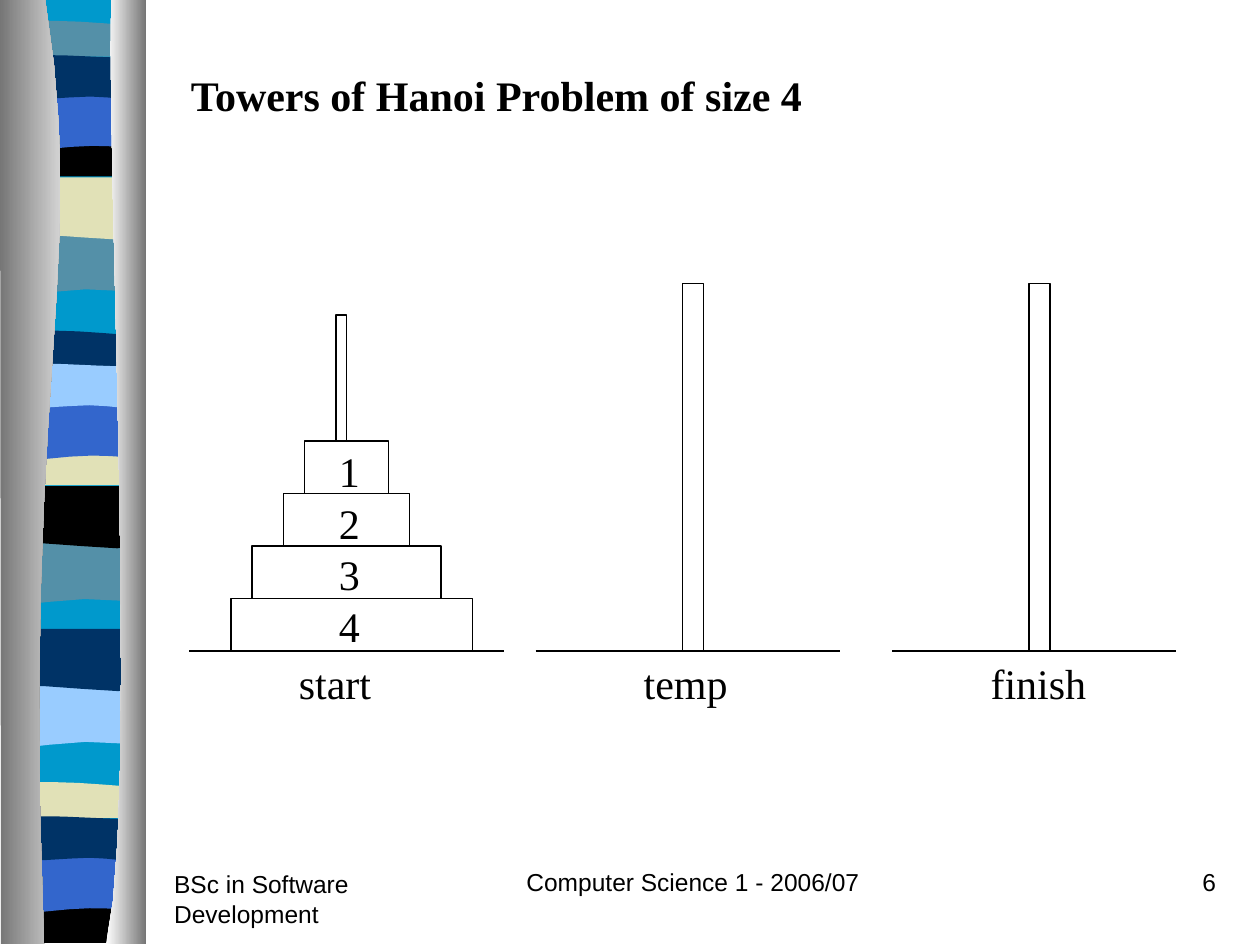
from lxml import etree
from pptx import Presentation, util as u
from pptx.dml.color import RGBColor
from pptx.enum import shapes, text
from pptx.oxml import ns

PX = 7620
BLACK, WHITE, GRAY = "000000", "FFFFFF", "767676"
TEAL, SAND, NAVY, BLUE, SKY = "5490A8", "E1E1B7", "003366", "3366CC", "99CCFF"
SERIF, SANS = "Times New Roman", "Arial"
LEFT, MID, RIGHT = text.PP_ALIGN.LEFT, text.PP_ALIGN.CENTER, text.PP_ALIGN.RIGHT

WAVES = {
    "slab": [(129, 0), (129, 899), (0, 899), (0, 0)],
    "swell": [(129, 0), (129, 56), (40, 47, 22, 66, 0, 56), (0, 0)],
    "dip": [(129, 0), (129, 56), (108, 66, 40, 49, 0, 56), (0, 0)],
    "thin": [(129, 6), (129, 35), (0, 35), (0, 6),
             (7, 0, 28, 1, 49, 1), (71, 1, 113, 5, 129, 6)],
    "bowl": [(129, 0), (129, 38), (0, 38), (0, 0), (79, 6, 102, 0, 129, 0)],
    "arch": [(129, 0), (129, 56), (109, 50, 101, 50, 79, 50),
             (58, 50, 19, 56, 0, 56), (0, 0)],
    "flag": [(129, 6), (129, 43), (121, 49, 101, 43, 79, 43),
             (58, 43, 13, 49, 0, 43), (0, 6), (18, 0, 88, 6, 109, 6), (129, 6)],
    "foot": [(129, 0), (129, 44), (0, 44), (0, 0), (79, 6, 102, 0, 129, 0)],
}
BANDS = [
    ("slab", 7, -1, "0099CC"), ("swell", 7, 222, TEAL), ("dip", 7, 169, SAND),
    ("thin", 7, 19, TEAL), ("bowl", 7, 130, BLACK), ("arch", 7, 89, BLUE),
    ("flag", 7, 49, NAVY), ("swell", 6, 517, TEAL), ("dip", 6, 463, BLACK),
    ("thin", 6, 314, NAVY), ("bowl", 6, 424, SAND), ("arch", 6, 384, BLUE),
    ("flag", 6, 343, SKY), ("swell", 7, 653, SKY), ("dip", 7, 599, NAVY),
    ("thin", 6, 744, SAND), ("foot", 6, 854, BLACK), ("arch", 6, 815, BLUE),
    ("flag", 6, 774, NAVY),
]
PIPES = [
    ([(43, -1), (85, 259, 20, 355, 42, 899), (1, 899), (0, -1)], GRAY, "D3D3D3"),
    ([(106, -1), (101, 150, 133, 775, 101, 899), (139, 899), (139, 0)], WHITE, GRAY),
]


def rgb(code):
    return RGBColor.from_string(code)


def trace(path, steps):
    dots = []
    for seg in path:
        if len(seg) == 2:
            dots.append(seg)
            continue
        ends = [dots[-1], seg[:2], seg[2:4], seg[4:]]
        for n in range(1, steps + 1):
            t = n / steps
            parts = ((1 - t) ** 3, 3 * t * (1 - t) ** 2, 3 * t * t * (1 - t), t ** 3)
            dots.append(tuple(sum(w * p[i] for w, p in zip(parts, ends)) for i in (0, 1)))
    return dots


def add_free(slide, path, x=0, y=0, steps=4):
    dots = [((a + x) * PX, (b + y) * PX) for a, b in trace(path, steps)]
    pen = slide.shapes.build_freeform(*dots[0], scale=1.0)
    pen.add_line_segments(dots[1:], close=True)
    shape = pen.convert_to_shape()
    shape.shadow.inherit = False
    shape.line.fill.background()
    return shape


def add_band(slide, kind, x, y, color):
    shape = add_free(slide, WAVES[kind], x, y)
    shape.fill.solid()
    shape.fill.fore_color.rgb = rgb(color)


def add_pipe(slide, path, start, end):
    fill = add_free(slide, path, steps=12).fill
    fill.gradient()
    fill.gradient_angle = 0
    for stop, color in zip(fill.gradient_stops, (start, end)):
        stop.color.rgb = rgb(color)


def add_box(slide, x, y, w, h):
    box = slide.shapes.add_shape(
        shapes.MSO_SHAPE.RECTANGLE, x * PX, y * PX, w * PX, h * PX)
    box.shadow.inherit = False
    box.fill.solid()
    box.fill.fore_color.rgb = rgb(WHITE)
    box.line.color.rgb = rgb(BLACK)
    box.line.width = u.Pt(0.75)


def add_base(slide, left, right, y):
    line = slide.shapes.add_connector(
        shapes.MSO_CONNECTOR.STRAIGHT, left * PX, y * PX, right * PX, y * PX)
    line.line.color.rgb = rgb(BLACK)
    line.line.width = u.Pt(0.75)
    etree.SubElement(line._element.spPr, ns.qn("a:effectLst"))


def add_text(slide, words, x, y, w, h, size=24, font=SERIF, align=LEFT,
             bold=False, wrap=True, mid=False):
    frame = slide.shapes.add_textbox(x * PX, y * PX, w * PX, h * PX).text_frame
    frame.word_wrap = wrap
    if mid:
        frame.vertical_anchor = text.MSO_ANCHOR.MIDDLE
    frame.text = words
    for para in frame.paragraphs:
        para.alignment = align
        face = para.runs[0].font
        face.size, face.name, face.bold = u.Pt(size), font, bold
        face.color.rgb = rgb(BLACK)
    return frame


def main():
    deck = Presentation()
    deck.slide_width, deck.slide_height = 1200 * PX, 900 * PX
    slide = deck.slides.add_slide(deck.slide_layouts[6])
    for band in BANDS:
        add_band(slide, *band)
    for pipe in PIPES:
        add_pipe(slide, *pipe)

    add_text(slide, "BSc in Software Development", 154, 822, 250, 60, 14, SANS)
    add_text(slide, "Computer Science 1 - 2006/07", 470, 820, 380, 60, 14, SANS, MID)
    add_text(slide, "6", 920, 820, 250, 60, 14, SANS, RIGHT)
    add_text(slide, "Towers of Hanoi Problem of size 4", 170, 60, 940, 718, bold=True)

    floor = 620
    for left, right in ((180, 480), (510, 800), (850, 1120)):
        add_base(slide, left, right, floor)
    add_box(slide, 320, 300, 10, 120)
    for row, (x, w) in enumerate(((290, 80), (270, 120), (240, 180), (220, 230))):
        add_box(slide, x, 420 + 50 * row, w, 50)
    for x in (650, 980):
        add_box(slide, x, 270, 20, 350)

    sizes = add_text(slide, "1\n2\n3\n4", 311, 439, 43, 184,
                     align=MID, wrap=False, mid=True)
    for para in sizes.paragraphs:
        para.line_spacing = 0.5
        para.space_before = u.Pt(15)
    for name, x in (("start", 319), ("temp", 653), ("finish", 989)):
        add_text(slide, name, x - 70, floor, 140, 60, align=MID, wrap=False, mid=True)
    deck.save("out.pptx")


if __name__ == "__main__":
    main()
